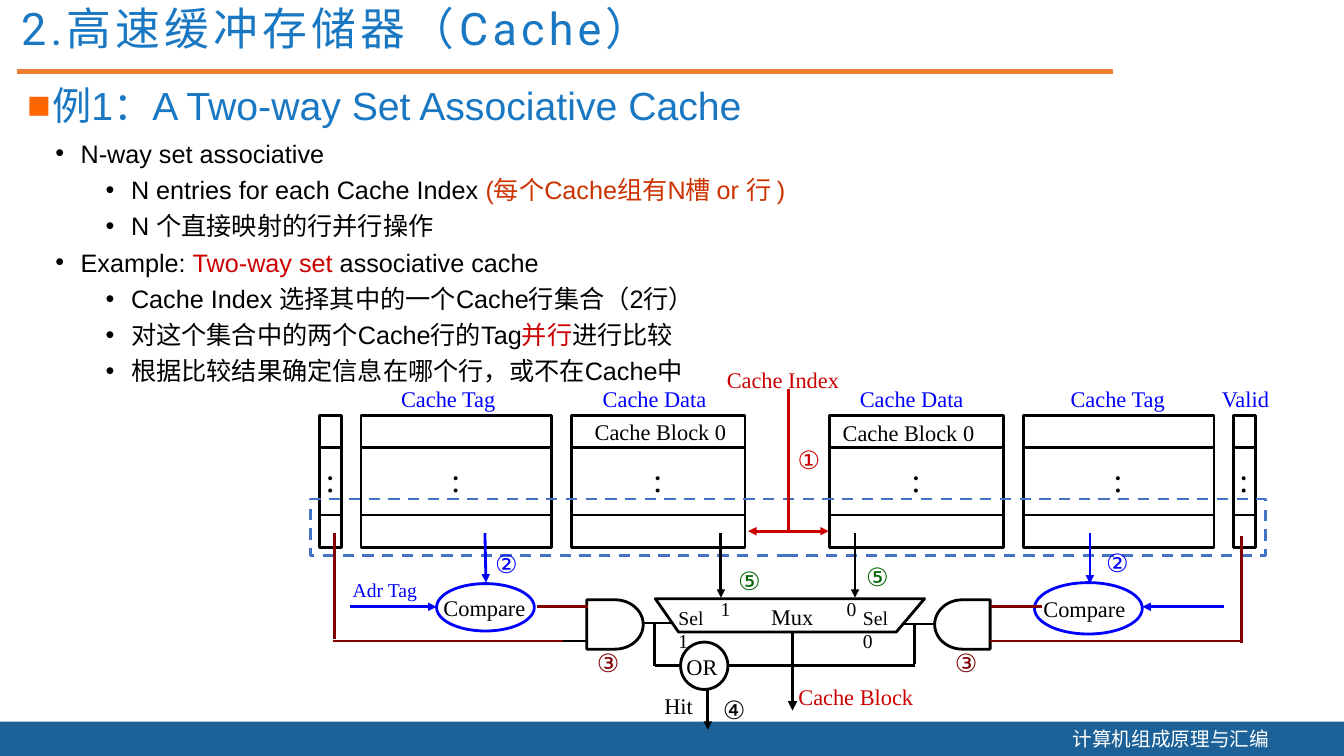
from lxml import etree
from pptx import Presentation
from pptx import util as u
from pptx.dml.color import RGBColor
from pptx.enum import dml, shapes, text
from pptx.oxml import ns

BLACK = RGBColor(0x00, 0x00, 0x00)
WHITE = RGBColor(0xFF, 0xFF, 0xFF)
BLUE = RGBColor(0x00, 0x00, 0xFF)
RED = RGBColor(0xCC, 0x00, 0x00)
BRICK = RGBColor(0xCC, 0x33, 0x00)
MAROON = RGBColor(0x80, 0x00, 0x00)
GREEN = RGBColor(0x00, 0x66, 0x00)
HEADING = RGBColor(0x1A, 0x78, 0xC3)
BAND = RGBColor(0x1C, 0x62, 0x99)
ORANGE = RGBColor(0xED, 0x7D, 0x31)
BULLET = RGBColor(0xFF, 0x66, 0x00)
DASH = RGBColor(0x44, 0x72, 0xC4)

SERIF = "Times New Roman"
ARRAY_TOP, ARRAY_BOTTOM, ROW_LINES = 4.12, 5.43, (4.44, 5.11)
# left and width of each memory column
COLUMNS = [(3.17, 0.22), (3.58, 1.89), (5.67, 1.72),
           (8.23, 1.72), (10.15, 1.89), (12.23, 0.22)]

POINTS = [
    (0, [("N-way set associative", BLACK)]),
    (1, [("N entries for each Cache Index ", BLACK), ("(每个Cache组有N槽 or 行 )", BRICK)]),
    (1, [("N 个直接映射的行并行操作", BLACK)]),
    (0, [("Example: ", BLACK), ("Two-way set", RED), (" associative cache", BLACK)]),
    (1, [("Cache Index 选择其中的一个Cache行集合（2行）", BLACK)]),
    (1, [("对这个集合中的两个Cache行的Tag", BLACK), ("并行", RED), ("进行比较", BLACK)]),
    (1, [("根据比较结果确定信息在哪个行，或不在Cache中", BLACK)]),
]

# left, top, width, height, wording, size, colour
LABELS = [
    (3.88, 3.77, 1.22, 0.36, "Cache Tag", 16, BLUE),
    (5.88, 3.77, 1.3, 0.36, "Cache Data", 16, BLUE),
    (8.43, 3.77, 1.3, 0.36, "Cache Data", 16, BLUE),
    (10.52, 3.77, 1.22, 0.36, "Cache Tag", 16, BLUE),
    (12.02, 3.77, 0.72, 0.36, "Valid", 16, BLUE),
    (5.8, 4.1, 1.56, 0.36, "Cache Block 0", 16, BLACK),
    (8.26, 4.11, 1.56, 0.36, "Cache Block 0", 16, BLACK),
    (7.11, 3.58, 1.39, 0.36, "Cache Index", 16, RED),
    (7.55, 5.93, 0.64, 0.36, "Mux", 16, BLACK),
    (7.05, 5.87, 0.3, 0.33, "1", 14, BLACK),
    (8.3, 5.87, 0.3, 0.33, "0", 14, BLACK),
    (4.3, 5.85, 1.09, 0.36, "Compare", 16, BLACK),
    (10.25, 5.86, 1.09, 0.36, "Compare", 16, BLACK),
    (6.71, 6.43, 0.53, 0.36, "OR", 16, BLACK),
    (6.49, 6.82, 0.51, 0.36, "Hit", 16, BLACK),
    (3.4, 5.68, 0.91, 0.33, "Adr Tag", 14, BLUE),
    (7.82, 6.73, 1.39, 0.36, "Cache Block", 16, RED),
]

STEPS = [
    (7.91, 4.41, "①", RED), (4.91, 5.44, "②", BLUE), (10.97, 5.43, "②", BLUE),
    (5.92, 6.42, "③", MAROON), (9.47, 6.42, "③", MAROON), (7.17, 6.89, "④", BLACK),
    (7.32, 5.61, "⑤", GREEN), (8.59, 5.57, "⑤", GREEN),
]

# x1, y1, x2, y2, colour
WIRES = [
    (6.38, 6.18, 6.66, 6.18, BLACK), (9.28, 6.19, 8.97, 6.19, BLACK),
    (5.83, 6.36, 5.55, 6.36, BLACK),
    (6.49, 6.19, 6.49, 6.61, BLACK), (6.5, 6.6, 6.74, 6.6, BLACK),
    (9.07, 6.2, 9.07, 6.59, BLACK), (7.23, 6.6, 9.08, 6.6, BLACK),
    (7.82, 3.86, 7.82, 5.26, RED),
    (5.33, 6.02, 5.83, 6.02, MAROON), (5.58, 6.36, 3.3, 6.36, MAROON),
    (3.32, 5.29, 3.32, 6.34, MAROON), (9.83, 6.02, 10.33, 6.02, MAROON),
    (9.82, 6.36, 12.3, 6.36, MAROON), (12.31, 5.32, 12.31, 6.38, MAROON),
]
ARROWS = [
    (7.02, 6.85, 7.02, 7.24, BLACK), (7.15, 5.29, 7.15, 5.93, BLACK),
    (8.48, 5.29, 8.48, 5.93, BLACK), (4.81, 5.29, 4.82, 5.78, BLUE),
    (10.81, 5.29, 10.81, 5.79, BLUE), (3.47, 6.02, 4.33, 6.02, BLUE),
    (12.14, 6.02, 11.33, 6.02, BLUE),
]


def lengths(*inches):
    return [u.Cm(2.54 * value) for value in inches]


def add_line(slide, x1, y1, x2, y2, color, width=2, ends=()):
    """Draw a straight line; ends may hold headEnd and tailEnd for arrowheads."""
    line = slide.shapes.add_connector(shapes.MSO_CONNECTOR.STRAIGHT, *lengths(x1, y1, x2, y2))
    line.line.color.rgb = color
    line.line.width = u.Pt(width)
    for end in ends:
        etree.SubElement(line.line._get_or_add_ln(), ns.qn("a:" + end), type="triangle")
    etree.SubElement(line._element.spPr, ns.qn("a:effectLst"))


def outline(shape, color=BLACK):
    shape.shadow.inherit = False
    shape.fill.background()
    shape.line.color.rgb = color
    shape.line.width = u.Pt(2)
    return shape


def add_outline(slide, kind, left, top, width, height, color=BLACK):
    return outline(slide.shapes.add_shape(kind, *lengths(left, top, width, height)), color)


def style(paragraph, size, font, color):
    paragraph.font.size = u.Pt(size)
    paragraph.font.name = font
    paragraph.font.color.rgb = color


def add_box(slide, left, top, width, height, margins=(0.1, 0.05), wrap=True):
    frame = slide.shapes.add_textbox(*lengths(left, top, width, height)).text_frame
    frame.word_wrap = wrap
    frame.margin_left = frame.margin_right = u.Cm(2.54 * margins[0])
    frame.margin_top = frame.margin_bottom = u.Cm(2.54 * margins[1])
    return frame


def add_label(slide, left, top, width, height, wording, size, color,
              font=SERIF, margins=(0.1, 0.05), wrap=False):
    paragraph = add_box(slide, left, top, width, height, margins, wrap).paragraphs[0]
    paragraph.text = wording
    style(paragraph, size, font, color)


def add_bullet(paragraph, character, indent, color=None):
    properties = paragraph._p.get_or_add_pPr()
    properties.set("marL", str(u.Cm(2.54 * indent)))
    properties.set("indent", str(-u.Cm(0.64)))
    if color is not None:
        bullet_color = etree.SubElement(properties, ns.qn("a:buClr"))
        etree.SubElement(bullet_color, ns.qn("a:srgbClr"), val=str(color))
    etree.SubElement(properties, ns.qn("a:buFont"), typeface="Arial")
    etree.SubElement(properties, ns.qn("a:buChar"), char=character)


def add_frame(slide):
    """Title, rule and footer band."""
    title = slide.shapes.title
    title.left, title.top, title.width, title.height = lengths(0.11, 0.07, 10.65, 0.48)
    frame = title.text_frame
    frame.auto_size = text.MSO_AUTO_SIZE.NONE
    frame.vertical_anchor = text.MSO_ANCHOR.MIDDLE
    paragraph = frame.paragraphs[0]
    paragraph.text = "2.高速缓冲存储器（Cache）"
    paragraph.alignment = text.PP_ALIGN.LEFT
    paragraph.line_spacing = 0.9
    style(paragraph, 32, "Roboto", HEADING)
    paragraph.runs[0].font._element.set("spc", "300")
    add_line(slide, 0.17, 0.71, 11.04, 0.71, ORANGE, 3)
    band = add_outline(slide, shapes.MSO_SHAPE.RECTANGLE, 0, 7.16, 13.33, 0.34)
    band.fill.solid()
    band.fill.fore_color.rgb = BAND
    band.line.fill.background()
    add_label(slide, 10.54, 7.16, 2.18, 0.34, "计算机组成原理与汇编", 14, WHITE, "Noto Sans CJK SC")


def add_points(slide):
    heading = add_box(slide, 0.17, 0.76, 12.94, 0.74).paragraphs[0]
    heading.text = "例1：A Two-way Set Associative Cache"
    add_bullet(heading, "■", 0.25, BULLET)
    style(heading, 28, "Arial", HEADING)
    frame = add_box(slide, 0.48, 1.28, 11.66, 2.58, (0.07, 0.03))
    for index, (level, parts) in enumerate(POINTS):
        paragraph = frame.add_paragraph() if index else frame.paragraphs[0]
        paragraph.level = level
        paragraph.line_spacing = 1.2
        add_bullet(paragraph, "•", 0.25 + 0.5 * level)
        style(paragraph, 18, "Arial", BLACK)
        for wording, color in parts:
            run = paragraph.add_run()
            run.text = wording
            run.font.color.rgb = color


def add_memory_column(slide, left, width):
    add_outline(slide, shapes.MSO_SHAPE.RECTANGLE, left, ARRAY_TOP, width, ARRAY_BOTTOM - ARRAY_TOP)
    for y in ROW_LINES:
        add_line(slide, left, y, left + width, y, BLACK)
    add_label(slide, left + width / 2 - 0.15, 4.5, 0.31, 0.5, ":", 24, BLACK)


def add_logic(slide):
    """Multiplexer, gates and comparators."""
    kinds = shapes.MSO_SHAPE
    builder = slide.shapes.build_freeform(*lengths(6.5, 5.94))
    builder.add_line_segments([lengths(*point) for point in
                               ((9.17, 5.94), (8.89, 6.27), (6.73, 6.27))])
    outline(builder.convert_to_shape())
    add_outline(slide, kinds.FLOWCHART_DELAY, 5.82, 5.95, 0.56, 0.49)
    add_outline(slide, kinds.FLOWCHART_DELAY, 9.27, 5.95, 0.55, 0.49).rotation = 180
    add_outline(slide, kinds.OVAL, 6.75, 6.37, 0.47, 0.47)
    add_outline(slide, kinds.OVAL, 4.33, 5.79, 0.97, 0.47, BLUE)
    add_outline(slide, kinds.OVAL, 10.26, 5.78, 1.07, 0.51, BLUE)
    chosen_set = add_outline(slide, kinds.RECTANGLE, 3.08, 4.95, 9.47, 0.56, DASH)
    chosen_set.line.dash_style = dml.MSO_LINE.DASH


def main():
    presentation = Presentation()
    presentation.slide_width, presentation.slide_height = lengths(13.33, 7.5)
    slide = presentation.slides.add_slide(presentation.slide_layouts[5])
    add_frame(slide)
    add_points(slide)
    for left, width in COLUMNS:
        add_memory_column(slide, left, width)
    add_logic(slide)
    for label in LABELS:
        add_label(slide, *label)
    for left, wording in ((6.63, "Sel 1"), (8.46, "Sel 0")):
        add_label(slide, left, 5.96, 0.58, 0.33, wording, 14, BLACK, wrap=True)
    for wire in WIRES:
        add_line(slide, *wire)
    for arrow in ARROWS:
        add_line(slide, *arrow, ends=("tailEnd",))
    add_line(slide, 7.86, 6.28, 7.86, 7.05, BLACK, 2.25, ("tailEnd",))
    add_line(slide, 7.42, 5.27, 8.22, 5.27, RED, ends=("headEnd", "tailEnd"))
    for left, top, wording, color in STEPS:
        add_label(slide, left, top, 0.25, 0.3, wording, 18, color, "Arial", (0, 0))
    presentation.save("out.pptx")


if __name__ == "__main__":
    main()
